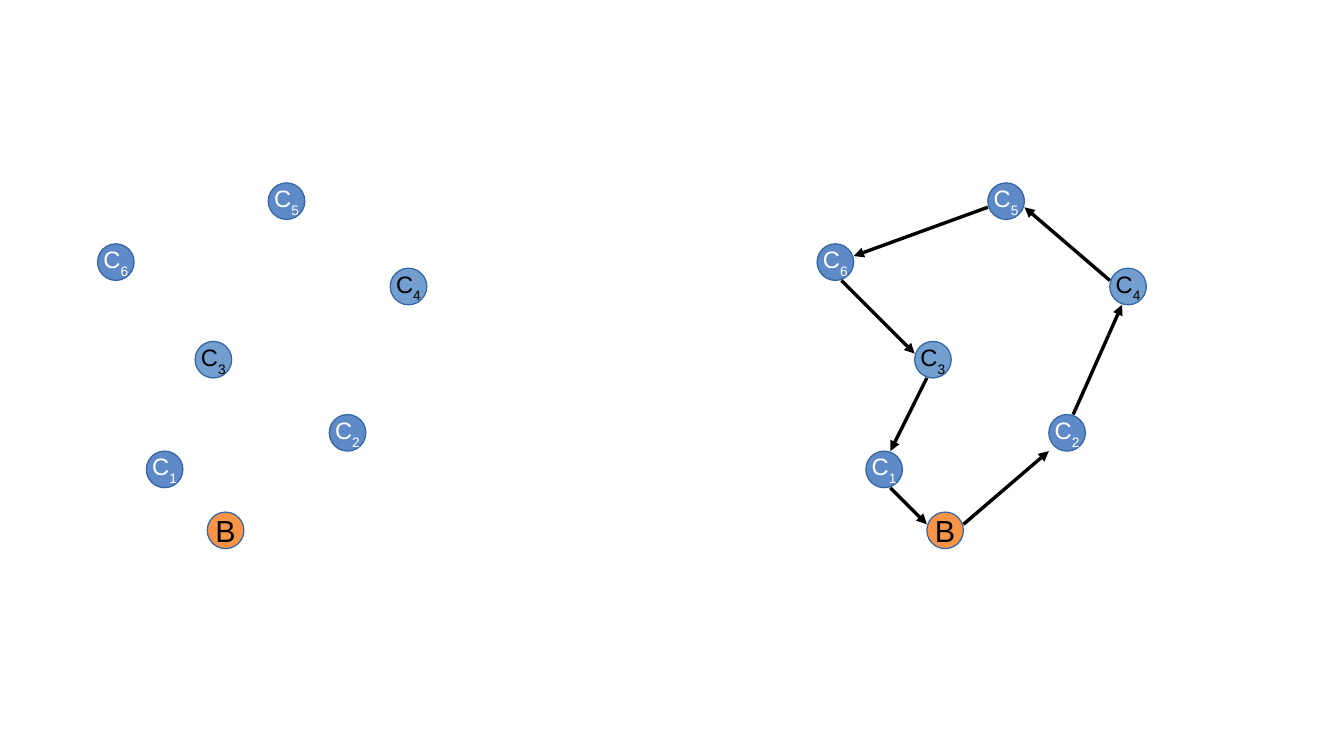
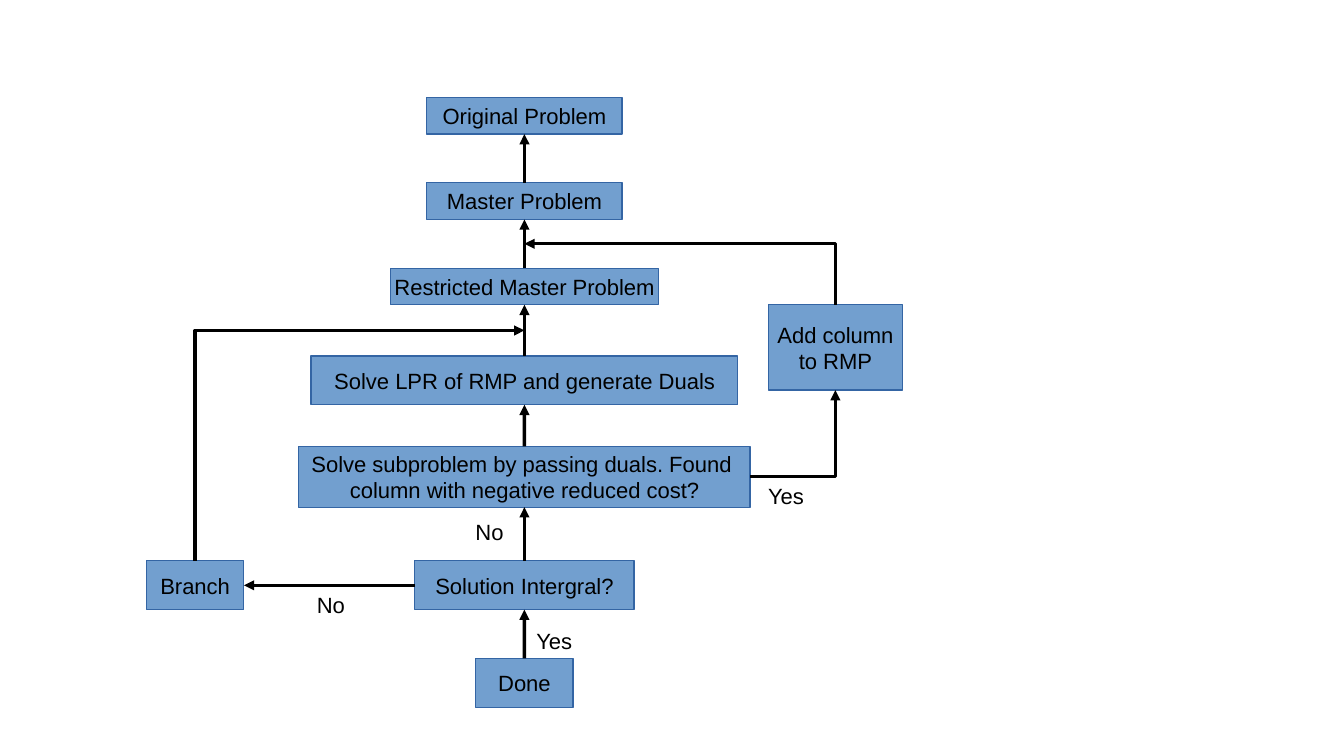
from dataclasses import dataclass
from itertools import pairwise

from lxml import etree
from pptx import Presentation
from pptx.dml.color import RGBColor
from pptx.enum.shapes import MSO_CONNECTOR as Link, MSO_SHAPE as Shape
from pptx.enum.text import MSO_ANCHOR as Anchor, MSO_AUTO_SIZE as AutoSize, PP_ALIGN as Align
from pptx.oxml.ns import qn
from pptx.util import Cm, Pt


@dataclass(frozen=True)
class Theme:
    font: str = "Arial"
    black: str = "000000"
    white: str = "FFFFFF"
    light_blue: str = "729FCF"
    blue: str = "5E8AC7"
    orange: str = "F79448"
    outline: str = "3465A4"
    box_size: int = 13
    customer_size: int = 14
    base_size: int = 18
    hairline: int = 0


THEME = Theme()
TOP, LEFT, BOTTOM, RIGHT = range(4)  # connection sites of a rectangle


def grid(units):
    """Length of a number of layout grid units, each 2.54 cm."""
    return Cm(2.54 * units)


# Route map: place of each node, relative to the left edge of its map
NODE = 0.3
NODES = {
    "C3": (0.8, 2.8, THEME.light_blue, THEME.black),
    "C4": (2.4, 2.2, THEME.light_blue, THEME.black),
    "C1": (0.4, 3.7, THEME.blue, THEME.white),
    "C2": (1.9, 3.4, THEME.blue, THEME.white),
    "C5": (1.4, 1.5, THEME.blue, THEME.white),
    "C6": (0.0, 2.0, THEME.blue, THEME.white),
    "B": (0.9, 4.2, THEME.orange, THEME.black),
}
MAP_LEFTS = (0.8, 6.7)

# Tour legs: start node, leaving offset, end node, arriving offset
TOUR = [
    ("B", (0.3, 0.1), "C2", (0, 0.3)),
    ("C2", (0.2, 0), "C4", (0.1, 0.3)),
    ("C4", (0, 0.1), "C5", (0.3, 0.2)),
    ("C5", (0, 0.2), "C6", (0.3, 0.1)),
    ("C6", (0.2, 0.3), "C3", (0, 0.1)),
    ("C3", (0.1, 0.3), "C1", (0.2, 0)),
    ("C1", (0.2, 0.3), "B", (0, 0.1)),
]

# Flowchart: text, top, width, height of the boxes on the main axis
AXIS = 4.3
STEPS = [
    ("Original Problem", 0.8, 1.6, 0.3),
    ("Master Problem", 1.5, 1.6, 0.3),
    ("Restricted Master Problem", 2.2, 2.2, 0.3),
    ("Solve LPR of RMP and generate Duals", 2.92, 3.5, 0.4),
    ("Solve subproblem by passing duals. Found \ncolumn with negative reduced cost?", 3.66, 3.7, 0.5),
    ("Solution Intergral?", 4.6, 1.8, 0.4),
    ("Done", 5.4, 0.8, 0.4),
]
ANSWERS = [("Yes", 6.2, 3.91), ("No", 3.8, 4.2), ("Yes", 4.3, 5.1), ("No", 2.5, 4.8)]


# Text and shapes
def style_run(run, size, color):
    run.font.name = THEME.font
    run.font.size = Pt(size)
    run.font.color.rgb = RGBColor.from_string(color)


def add_filled(slide, preset, left, top, width, height, fill):
    shape = slide.shapes.add_shape(preset, *map(grid, (left, top, width, height)))
    shape.shadow.inherit = False
    shape.fill.solid()
    shape.fill.fore_color.rgb = RGBColor.from_string(fill)
    shape.line.color.rgb = RGBColor.from_string(THEME.outline)
    shape.line.width = Pt(THEME.hairline)
    shape.text_frame.word_wrap = False
    shape.text_frame.vertical_anchor = Anchor.MIDDLE
    return shape


def add_node(slide, name, map_left):
    x, y, fill, color = NODES[name]
    node = add_filled(slide, Shape.OVAL, map_left + x, y, NODE, NODE, fill)
    label = node.text_frame.paragraphs[0]
    label.alignment = Align.CENTER
    letter, index = name[0], name[1:]
    size = THEME.customer_size if index else THEME.base_size
    label.text = letter
    style_run(label.runs[0], size, color)
    if index:
        subscript = label.add_run()
        subscript.text = index
        style_run(subscript, size, color)
        subscript.font._element.set("baseline", "-33000")


def add_box(slide, text, center, top, width, height):
    box = add_filled(slide, Shape.RECTANGLE, center - width / 2, top, width, height, THEME.light_blue)
    box.text_frame.text = text
    for paragraph in box.text_frame.paragraphs:
        paragraph.alignment = Align.CENTER
        style_run(paragraph.runs[0], THEME.box_size, THEME.black)
    return box


def add_answer(slide, text, left, top):
    answer = slide.shapes.add_textbox(*map(grid, (left, top, 1.4, 0.3))).text_frame
    answer.word_wrap = True
    answer.auto_size = AutoSize.SHAPE_TO_FIT_TEXT
    answer.text = text
    style_run(answer.paragraphs[0].runs[0], THEME.box_size, THEME.black)


# Arrows
def add_arrow(slide, start, end, kind=Link.STRAIGHT):
    arrow = slide.shapes.add_connector(kind, *map(int, (*start, *end)))
    arrow.line.color.rgb = RGBColor.from_string(THEME.black)
    arrow.line.width = Pt(THEME.hairline)
    etree.SubElement(arrow.line._get_or_add_ln(), qn("a:tailEnd"), type="triangle")
    etree.SubElement(arrow._element.spPr, qn("a:effectLst"))
    return arrow


def join(slide, source, source_site, target, target_site):
    arrow = add_arrow(slide, (0, 0), (0, 0))
    arrow.begin_connect(source, source_site)
    arrow.end_connect(target, target_site)


def add_corner(slide, start, end):
    """Arrow with one corner, going sideways first."""
    arrow = add_arrow(slide, start, end, Link.ELBOW)
    arrow._element.spPr.find(qn("a:prstGeom")).set("prst", "bentConnector2")
    return arrow


def add_rising_corner(slide, start, end):
    """Arrow with one corner, going up first: a corner turned by 270 degrees."""
    (x1, y1), (x2, y2) = start, end
    mid_x, mid_y = (x1 + x2) / 2, (y1 + y2) / 2
    half_rise, half_run = (y1 - y2) / 2, (x2 - x1) / 2
    arrow = add_corner(slide, (mid_x - half_rise, mid_y - half_run), (mid_x + half_rise, mid_y + half_run))
    arrow._element.spPr.find(qn("a:xfrm")).set("rot", str(270 * 60000))


def center_x(box):
    return box.left + box.width / 2


def gap_middle(upper, lower):
    return center_x(upper), (upper.top + upper.height + lower.top) / 2


# Slides
def build_route_slide(slide):
    for map_left in MAP_LEFTS:
        for name in NODES:
            add_node(slide, name, map_left)

    def point(name, offset):
        x, y = NODES[name][:2]
        return grid(MAP_LEFTS[1] + x + offset[0]), grid(y + offset[1])

    for source, leaving, target, arriving in TOUR:
        add_arrow(slide, point(source, leaving), point(target, arriving))


def build_flow_slide(slide):
    steps = [add_box(slide, text, AXIS, *place) for text, *place in STEPS]
    original, master, restricted, duals, subproblem, integral, done = steps
    add_column = add_box(slide, "Add column\nto RMP", 6.85, 2.5, 1.1, 0.7)
    branch = add_box(slide, "Branch", 1.6, 4.6, 0.8, 0.4)

    for upper, lower in pairwise(steps):
        join(slide, lower, TOP, upper, BOTTOM)
    join(slide, integral, LEFT, branch, RIGHT)

    # Loops back to the main axis
    add_corner(slide,
               (subproblem.left + subproblem.width, subproblem.top + subproblem.height / 2),
               (center_x(add_column), add_column.top + add_column.height))
    add_rising_corner(slide, (center_x(add_column), add_column.top), gap_middle(master, restricted))
    add_rising_corner(slide, (center_x(branch), branch.top), gap_middle(restricted, duals))

    for text, left, top in ANSWERS:
        add_answer(slide, text, left, top)


def main():
    deck = Presentation()
    deck.slide_width, deck.slide_height = grid(11.02), grid(6.2)
    blank = deck.slide_layouts[6]
    for build in (build_route_slide, build_flow_slide):
        build(deck.slides.add_slide(blank))
    deck.save("out.pptx")


if __name__ == "__main__":
    main()
